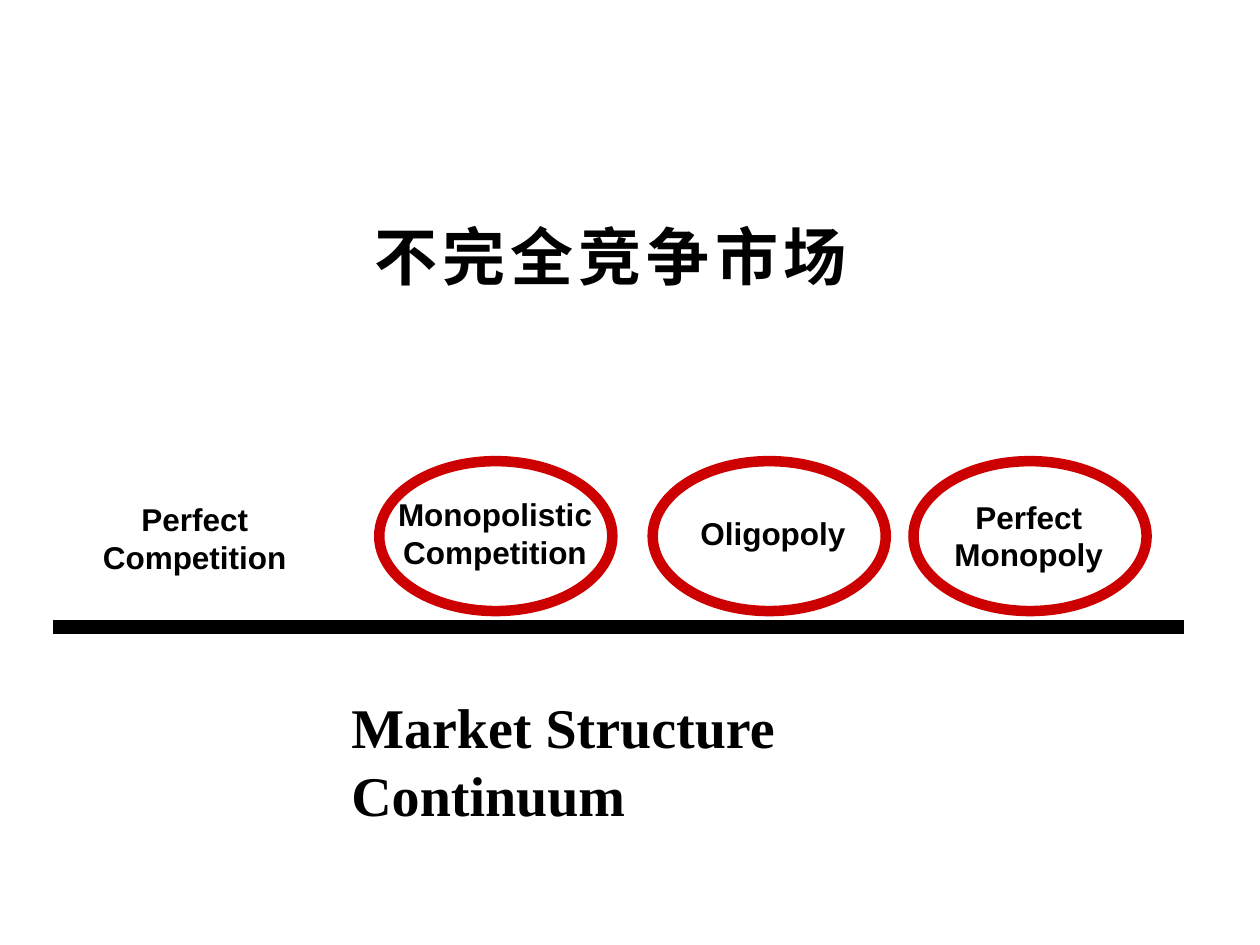
from lxml.etree import SubElement
from pptx import Presentation
from pptx.dml.color import RGBColor
from pptx.enum.shapes import MSO_CONNECTOR as Connector, MSO_SHAPE as Shape
from pptx.enum.text import MSO_ANCHOR as Anchor, PP_ALIGN as Align
from pptx.oxml.ns import qn
from pptx.util import Inches, Pt

BLACK = RGBColor(0x00, 0x00, 0x00)
RED = RGBColor(0xCC, 0x00, 0x00)

TITLE = {"name": "Noto Sans CJK SC", "size": Pt(36)}
CAPTION = {"name": "Times New Roman", "size": Pt(32)}
LABEL = {"name": "Arial", "size": Pt(18)}

MARKETS = [
    (("Perfect", "Competition"), (0.69, 3.92, 1.71, 0.71)),
    (("Monopolistic", "Competition"), (3.06, 3.88, 1.74, 0.7)),
    (("Oligopoly",), (5.46, 4.03, 1.35, 0.4)),
    (("Perfect", "Monopoly"), (7.47, 3.9, 1.39, 0.7)),
]
RING_LEFTS = (3.01, 5.18, 7.25)


def add_text(page, lines, place, style, align=Align.CENTER, wrap=True):
    box = page.shapes.add_textbox(*map(Inches, place))
    frame = box.text_frame
    frame.word_wrap = wrap
    frame.text = "\n".join(lines)
    for para in frame.paragraphs:
        para.alignment = align
        for span in para.runs:
            for key, value in style.items():
                setattr(span.font, key, value)
            span.font.bold = True
            span.font.color.rgb = BLACK
    return frame


def add_title(page, text):
    frame = add_text(page, [text], (0, 1.63, 9.69, 0.8), TITLE)
    frame.vertical_anchor = Anchor.MIDDLE
    properties = frame.paragraphs[0].runs[0].font._element
    properties.set("spc", "300")
    properties.set("lang", "zh-CN")
    latin = properties.find(qn("a:latin"))
    east_asian = SubElement(properties, qn("a:ea"), typeface=TITLE["name"])
    latin.addnext(east_asian)


def add_axis(page, left, right, height):
    axis = page.shapes.add_connector(
        Connector.STRAIGHT, *map(Inches, (left, height, right, height)))
    axis.line.color.rgb = BLACK
    axis.line.width = Pt(8)
    SubElement(axis._element.spPr, qn("a:effectLst"))


def add_ring(page, left):
    ring = page.shapes.add_shape(
        Shape.OVAL, *map(Inches, (left, 3.66, 1.85, 1.19)))
    ring.shadow.inherit = False
    ring.fill.background()
    ring.line.color.rgb = RED
    ring.line.width = Pt(6)


def main():
    deck = Presentation()
    deck.slide_width, deck.slide_height = Inches(10), Inches(7.5)
    page = deck.slides.add_slide(deck.slide_layouts[6])
    add_title(page, "不完全竞争市场")
    add_axis(page, 0.42, 9.4, 4.98)
    add_text(page, ["Market Structure Continuum"], (2.69, 5.45, 5.5, 1.17),
             CAPTION, Align.LEFT)
    for lines, place in MARKETS:
        add_text(page, lines, place, LABEL, wrap=False)
    for left in RING_LEFTS:
        add_ring(page, left)
    deck.save("out.pptx")


if __name__ == "__main__":
    main()
